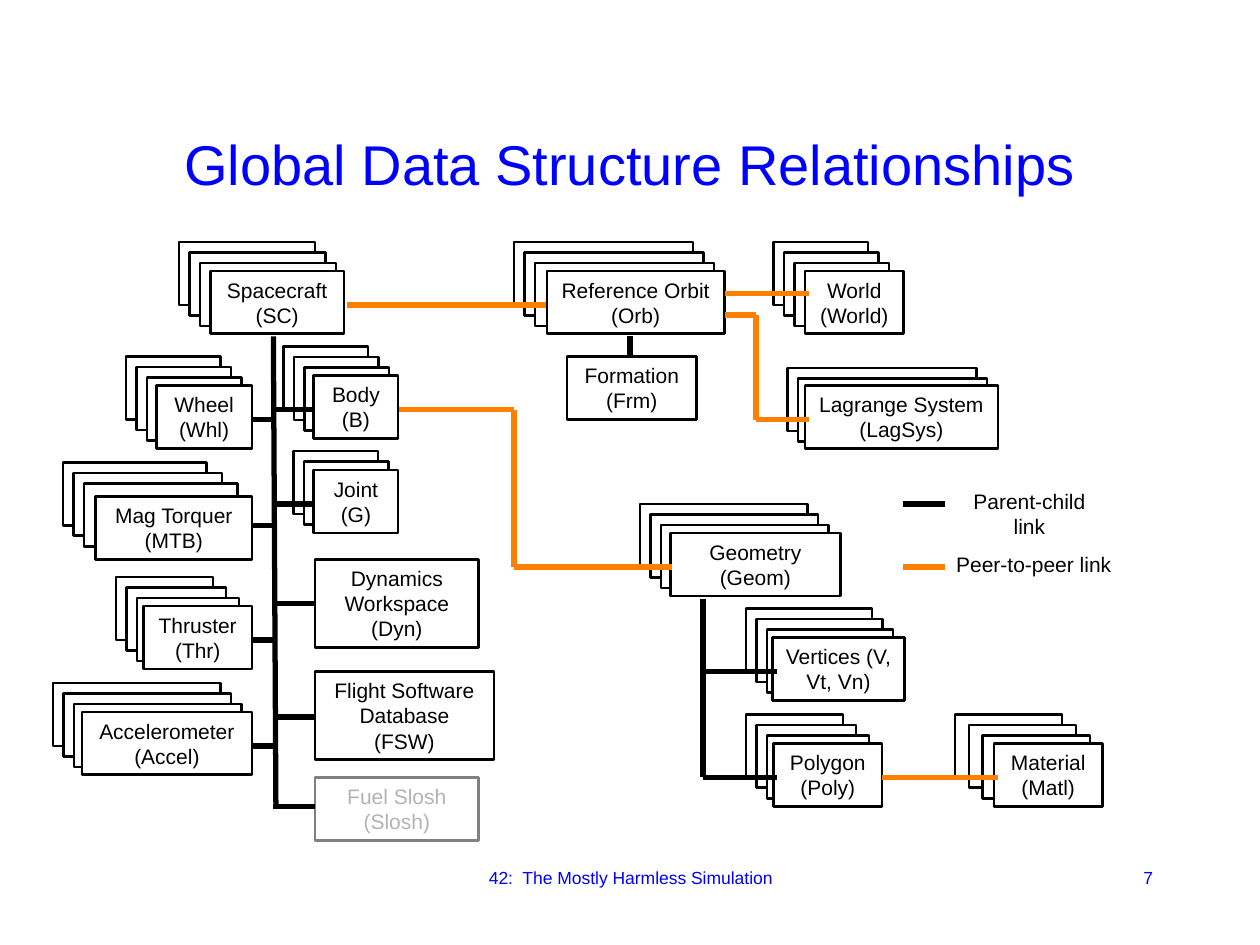
from dataclasses import dataclass
from itertools import pairwise

from lxml import etree
from pptx import Presentation
from pptx.dml.color import RGBColor
from pptx.enum import shapes, text
from pptx.oxml.ns import qn
from pptx.util import Inches, Pt


@dataclass(frozen=True)
class Theme:
    font: str = "Arial"
    blue: str = "0000FF"
    black: str = "000000"
    orange: str = "FF8000"
    white: str = "FFFFFF"
    gray: str = "808080"
    pale: str = "B3B3B3"
    title: int = 32
    body: int = 12
    footer: int = 10
    border: float = 1.5
    link: int = 3


THEME = Theme()
STEP = 1 / 12
BOX_HEIGHT = 0.5

# name, front (left, top, width), back (left, top, width), layers, growth, step
STACKS = [
    ("Spacecraft (SC)", (1.67, 2.15, 1.06), (1.42, 1.92, 1.08), 3, 0, STEP),
    ("Body (B)", (2.49, 2.98, 0.67), (2.25, 2.75, 0.67), 3, 0, STEP),
    ("Joint (G)", (2.49, 3.73, 0.67), (2.33, 3.58, 0.67), 2, 0, STEP),
    ("Wheel (Whl)", (1.24, 3.06, 0.76), (1, 2.83, 0.75), 3, 0, STEP),
    ("Mag Torquer (MTB)", (0.76, 3.94, 1.24), (0.5, 3.67, 1.14), 3, 0.04, STEP),
    ("Thruster (Thr)", (1.14, 4.81, 0.86), (0.92, 4.58, 0.77), 3, 0.02, STEP),
    ("Accelerometer (Accel)", (0.65, 5.65, 1.35), (0.42, 5.42, 1.33), 3, 0, STEP),
    ("Reference Orbit (Orb)", (4.34, 2.15, 1.41), (4.08, 1.92, 1.42), 3, 0, STEP),
    ("Geometry (Geom)", (5.32, 4.23, 1.35), (5.08, 4, 1.33), 3, 0, STEP),
    ("Vertices (V, Vt, Vn)", (6.13, 5.06, 1.05), (5.92, 4.83, 1), 3, 0, STEP),
    ("Polygon (Poly)", (6.14, 5.9, 0.86), (5.92, 5.67, 0.77), 3, 0.02, STEP),
    ("Material (Matl)", (7.89, 5.9, 0.86), (7.58, 5.67, 0.85), 3, 0, 0.11),
    ("World (World)", (6.39, 2.15, 0.78), (6.14, 1.92, 0.75), 3, 0, STEP),
    ("Lagrange System (LagSys)", (6.39, 3.06, 1.53), (6.25, 2.92, 1.5), 2, 0, STEP),
]

TRUNK = 2.17
PARENT_LINKS = [
    [(TRUNK, 2.67), (2.19, 6.41)],
    *[[(2, y), (TRUNK, y)] for y in (3.33, 4.17, 5.08, 5.92)],
    *[[(TRUNK, y), (2.5, y)] for y in (3.25, 4, 4.79, 5.69, 6.4)],
    [(5.58, 4.75), (5.58, 6.17), (6.17, 6.17)],
    [(5.58, 5.33), (6.17, 5.33)],
    [(5, 2.67), (5, 2.83)],
]
PEER_LINKS = [
    [(2.75, 2.42), (4.33, 2.42)],
    [(3.17, 3.25), (4.08, 3.25), (4.08, 4.5), (5.33, 4.5)],
    [(7, 6.17), (7.92, 6.17)],
    [(5.75, 2.33), (6.42, 2.33)],
    [(5.75, 2.5), (6, 2.5), (6, 3.33), (6.42, 3.33)],
]


def rgb(color):
    return RGBColor.from_string(color)


def write(shape, words, size, color, align=text.PP_ALIGN.CENTER,
          anchor=text.MSO_ANCHOR.TOP, wrap=True):
    frame = shape.text_frame
    frame.word_wrap = wrap
    frame.vertical_anchor = anchor
    para = frame.paragraphs[0]
    para.text = words
    para.alignment = align
    para.font.name = THEME.font
    para.font.size = Pt(size)
    para.font.color.rgb = rgb(color)


def add_label(page, words, area, size, color, **layout):
    label = page.shapes.add_textbox(*map(Inches, area))
    write(label, words, size, color, **layout)


def add_box(page, area, words="", border=THEME.black, ink=THEME.black, filled=True):
    box = page.shapes.add_shape(shapes.MSO_SHAPE.RECTANGLE, *map(Inches, area))
    box.shadow.inherit = False
    if filled:
        box.fill.solid()
        box.fill.fore_color.rgb = rgb(THEME.white)
    else:
        box.fill.background()
    box.line.color.rgb = rgb(border)
    box.line.width = Pt(THEME.border)
    if words:
        write(box, words, THEME.body, ink)


def add_stack(page, name, front, back, layers, growth, step):
    left, top, width = back
    for layer in range(layers):
        add_box(page, (left + layer * step, top + layer * STEP,
                       width + layer * growth, BOX_HEIGHT))
    add_box(page, (*front, BOX_HEIGHT), name)


def add_link(page, points, color):
    for start, end in pairwise(points):
        line = page.shapes.add_connector(
            shapes.MSO_CONNECTOR.STRAIGHT, *map(Inches, (*start, *end)))
        line.line.color.rgb = rgb(color)
        line.line.width = Pt(THEME.link)
        etree.SubElement(line._element.spPr, qn("a:effectLst"))


def add_legend(page):
    entries = [
        ("Parent-child link", 4, 7.48, 1.38, THEME.black),
        ("Peer-to-peer link", 4.5, 7.49, 1.43, THEME.orange),
    ]
    for words, y, left, width, color in entries:
        add_link(page, [(7.17, y), (7.5, y)], color)
        add_label(page, words, (left, y - 0.17, width, 0.3),
                  THEME.body, THEME.black, wrap=False)


def main():
    deck = Presentation()
    deck.slide_width, deck.slide_height = Inches(10), Inches(7.5)
    page = deck.slides.add_slide(deck.slide_layouts[6])

    add_label(page, "Global Data Structure Relationships", (0.75, 0.67, 8.5, 1.25),
              THEME.title, THEME.blue, anchor=text.MSO_ANCHOR.MIDDLE)
    for stack in STACKS:
        add_stack(page, *stack)
    add_box(page, (2.5, 4.44, 1.3, 0.7), "Dynamics Workspace (Dyn)")
    add_box(page, (2.5, 5.33, 1.42, 0.7), "Flight Software Database (FSW)", filled=False)
    add_box(page, (4.5, 2.83, 1.03, BOX_HEIGHT), "Formation (Frm)", filled=False)
    add_box(page, (2.5, 6.17, 1.3, BOX_HEIGHT), "Fuel Slosh (Slosh)",
            border=THEME.gray, ink=THEME.pale)

    for color, links in ((THEME.black, PARENT_LINKS), (THEME.orange, PEER_LINKS)):
        for points in links:
            add_link(page, points, color)
    add_legend(page)

    add_label(page, "42:  The Mostly Harmless Simulation", (3.42, 6.83, 3.17, 0.5),
              THEME.footer, THEME.blue)
    add_label(page, "7", (7.17, 6.83, 2.08, 0.5), THEME.footer, THEME.blue,
              align=text.PP_ALIGN.RIGHT)
    deck.save("out.pptx")


if __name__ == "__main__":
    main()
